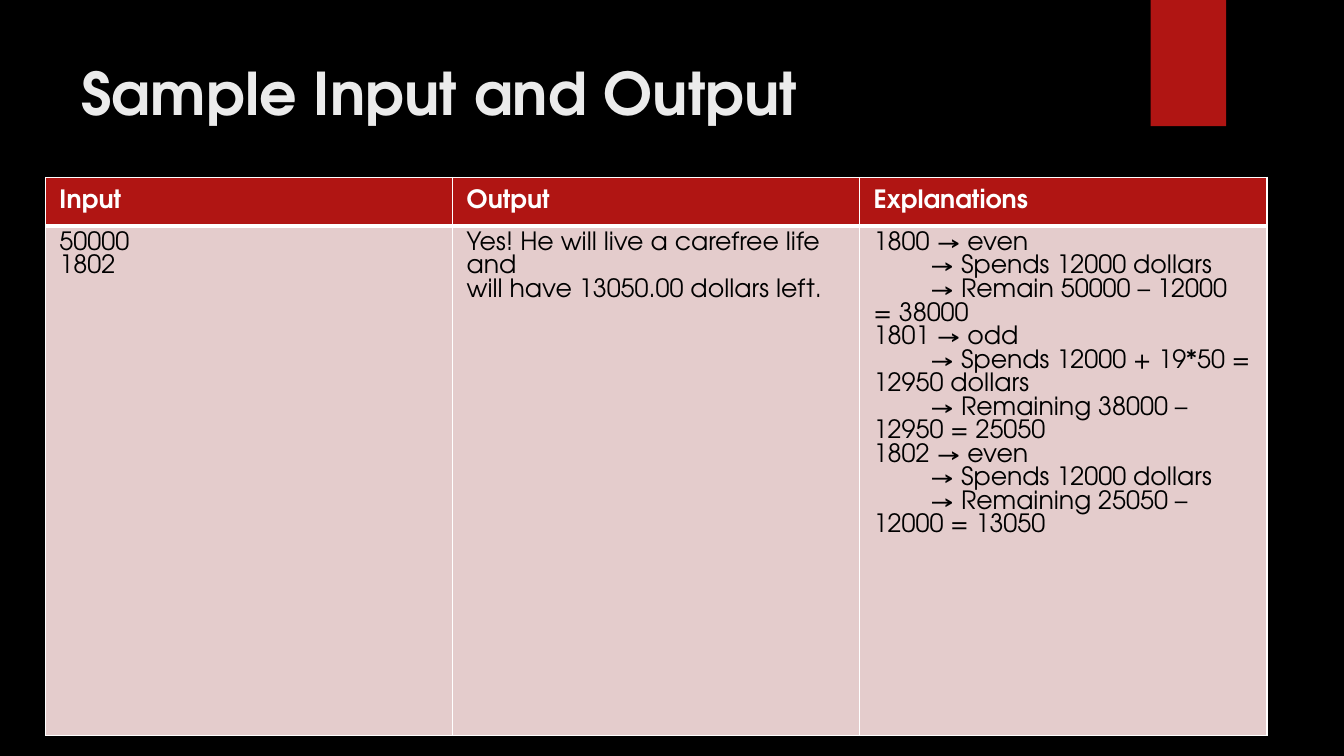
from dataclasses import dataclass

import pptx
import pptx.dml.color
import pptx.enum.shapes
import pptx.enum.text
import pptx.oxml.ns
import pptx.util
from lxml import etree
from pptx.util import Cm, Pt


@dataclass(frozen=True)
class Theme:
    font: str = "TeX Gyre Adventor"
    background: str = "000000"
    accent: str = "B01513"
    title: str = "EBEBEB"
    header_text: str = "FFFFFF"
    body_text: str = "000000"
    body_fill: str = "E4CCCC"
    rule: str = "FFFFFF"
    title_size: int = 42
    table_size: int = 18


THEME = Theme()
NBSP = chr(160)
STEP_INDENT = Cm(1.42)
STEP_MARK = "→"

HEADERS = ["Input", "Output", "Explanations"]
SAMPLE = [
    ["50000", "1802"],
    ["Yes! He will live a carefree life and", "will have 13050.00 dollars left."],
    [
        "1800 → even",
        "→ Spends 12000 dollars",
        f"→ Remain 50000 – 12000 ={NBSP}38000",
        "1801 → odd",
        "→ Spends 12000 + 19*50 = 12950 dollars",
        "→ Remaining 38000 – 12950 = 25050",
        "1802 → even",
        "→ Spends 12000 dollars",
        "→ Remaining 25050 – 12000 = 13050",
    ],
]


def rgb(value):
    return pptx.dml.color.RGBColor.from_string(value)


def paint(fill, color):
    fill.solid()
    fill.fore_color.rgb = rgb(color)


def write(frame, lines, *, size, color, bold=False):
    """Write one paragraph per line; lines that open with an arrow are indented."""
    frame.word_wrap = True
    for number, line in enumerate(lines):
        paragraph = frame.paragraphs[0] if number == 0 else frame.add_paragraph()
        if line.startswith(STEP_MARK):
            properties = paragraph._p.get_or_add_pPr()
            properties.set("marL", "0")
            properties.set("indent", str(STEP_INDENT))
        run = paragraph.add_run()
        run.text = line
        run.font.name = THEME.font
        run.font.size = Pt(size)
        run.font.bold = bold
        run.font.color.rgb = rgb(color)


def add_title(slide, text):
    title = slide.shapes.add_textbox(Cm(1.8), Cm(1.3), Cm(26.14), Cm(3.89))
    write(title.text_frame, [text], size=THEME.title_size, color=THEME.title, bold=True)


def add_ribbon(slide):
    ribbon = slide.shapes.add_shape(
        pptx.enum.shapes.MSO_SHAPE.RECTANGLE, Cm(29), 0, Cm(1.9), Cm(3.18))
    ribbon.shadow.inherit = False
    paint(ribbon.fill, THEME.accent)
    ribbon.line.fill.background()


def set_borders(cell, bottom):
    properties = cell._tc.get_or_add_tcPr()
    for side, width in (("L", 1), ("R", 1), ("T", 1), ("B", bottom)):
        line = etree.SubElement(
            properties, pptx.oxml.ns.qn(f"a:ln{side}"), w=str(Pt(width)))
        fill = etree.SubElement(line, pptx.oxml.ns.qn("a:solidFill"))
        etree.SubElement(fill, pptx.oxml.ns.qn("a:srgbClr"), val=THEME.rule)


def fill_cell(cell, lines, *, fill, anchor, bottom, **text_format):
    cell.margin_left = cell.margin_right = Cm(0.35)
    cell.margin_top = cell.margin_bottom = Cm(0.15)
    cell.vertical_anchor = anchor
    set_borders(cell, bottom)
    paint(cell.fill, fill)
    write(cell.text_frame, lines, size=THEME.table_size, **text_format)


def add_sample_table(slide):
    column_width, header_height, body_height = Cm(10.26), Cm(1.22), Cm(12.85)
    table = slide.shapes.add_table(
        2, len(HEADERS), Cm(1.15), Cm(4.47),
        column_width * len(HEADERS), header_height + body_height).table
    table.rows[0].height = header_height
    table.rows[1].height = body_height
    anchors = pptx.enum.text.MSO_ANCHOR
    for column, (header, lines) in enumerate(zip(HEADERS, SAMPLE)):
        table.columns[column].width = column_width
        fill_cell(table.cell(0, column), [header], fill=THEME.accent,
                  anchor=anchors.MIDDLE, bottom=3, color=THEME.header_text, bold=True)
        fill_cell(table.cell(1, column), lines, fill=THEME.body_fill,
                  anchor=anchors.TOP, bottom=1, color=THEME.body_text)


def main():
    deck = pptx.Presentation()
    deck.slide_width, deck.slide_height = Cm(33.87), Cm(19.05)
    slide = deck.slides.add_slide(deck.slide_layouts[6])
    paint(slide.background.fill, THEME.background)
    add_ribbon(slide)
    add_title(slide, "Sample Input and Output")
    add_sample_table(slide)
    deck.save("out.pptx")


if __name__ == "__main__":
    main()
